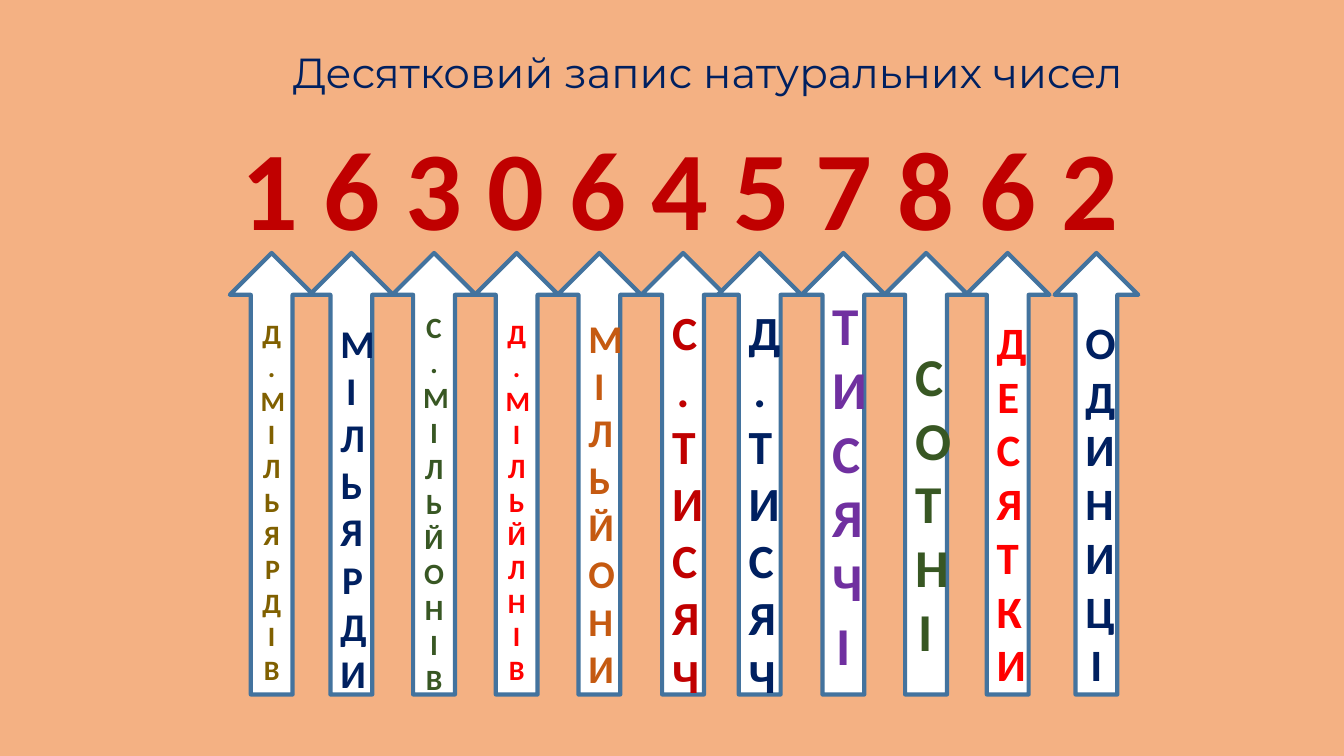
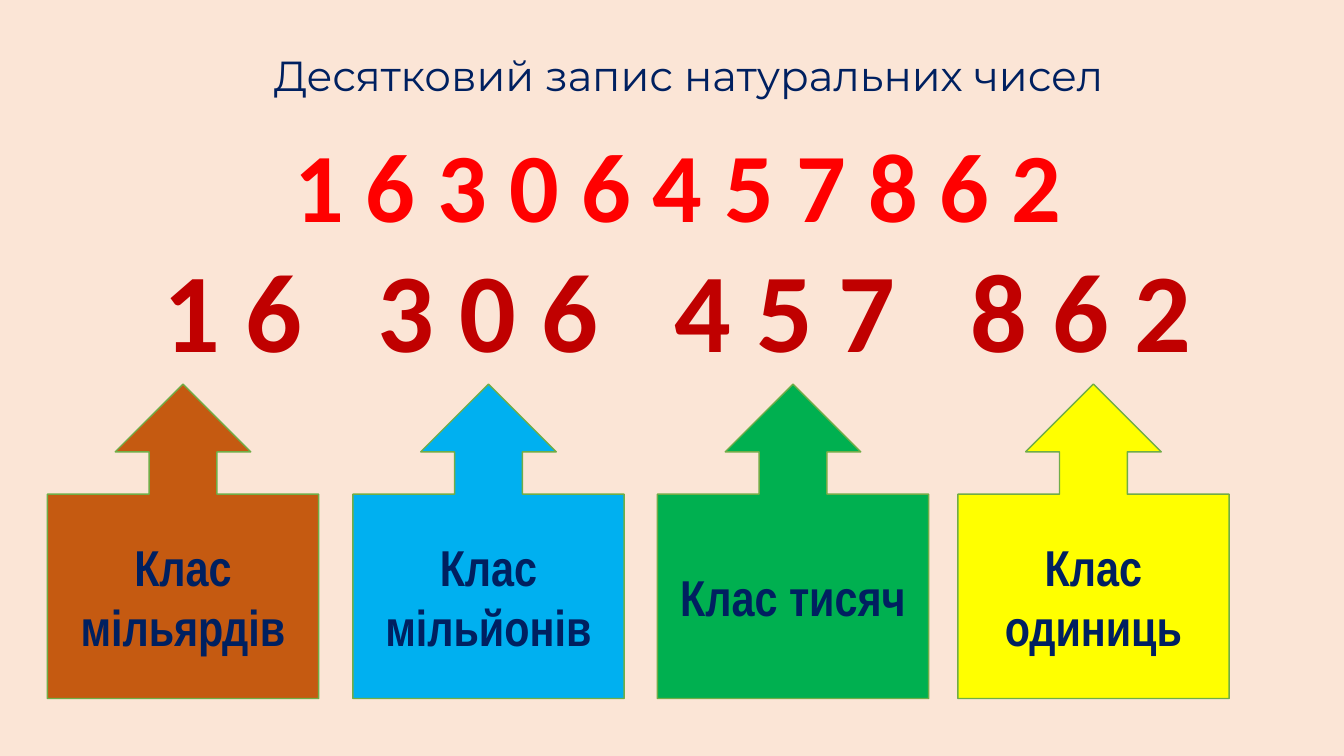
import pptx
import pptx.util
import pptx.dml.color
import pptx.enum.shapes
import pptx.enum.text

Inches = pptx.util.Inches
Pt = pptx.util.Pt
RGBColor = pptx.dml.color.RGBColor
Shape = pptx.enum.shapes.MSO_SHAPE
Align = pptx.enum.text.PP_ALIGN
Anchor = pptx.enum.text.MSO_ANCHOR

PEACH = RGBColor(0xF4, 0xB1, 0x83)
CREAM = RGBColor(0xFB, 0xE5, 0xD6)
NAVY = RGBColor(0x00, 0x20, 0x60)
MAROON = RGBColor(0xC0, 0x00, 0x00)
RED = RGBColor(0xFF, 0x00, 0x00)
WHITE = RGBColor(0xFF, 0xFF, 0xFF)
STEEL = RGBColor(0x43, 0x73, 0x9E)
OLIVE = RGBColor(0x80, 0x60, 0x00)
FOREST = RGBColor(0x38, 0x57, 0x23)
RUST = RGBColor(0xC5, 0x5A, 0x11)
PURPLE = RGBColor(0x70, 0x30, 0xA0)
SKY = RGBColor(0x00, 0xB0, 0xF0)
GREEN = RGBColor(0x00, 0xB0, 0x50)
YELLOW = RGBColor(0xFF, 0xFF, 0x00)
LEAF = RGBColor(0x70, 0xAD, 0x47)

TITLE = "Десятковий запис натуральних чисел"
NUMBER = "1 6 3 0 6 4 5 7 8 6 2"
GROUPS = ["1 6", "3 0 6", "4 5 7", "8 6 2"]

PLACES = [
    (2.28, "Д.МІЛЬЯРДІВ", 20, 20, OLIVE),
    (3.07, "МІЛЬЯРДИ", 28, 28, NAVY),
    (3.89, "С.МІЛЬЙОНІВ", 22, 21, FOREST),
    (4.71, "Д. МІЛЬЙЛНІВ", 20, 20, RED),
    (5.53, "МІЛЬЙОНИ", 22, 28, RUST),
    (6.36, "С. ТИСЯЧ", 22, 34, MAROON),
    (7.12, "Д. ТИСЯЧ", 22, 34, NAVY),
    (7.95, "ТИСЯЧІ", 0, 38, PURPLE),
    (8.77, "СОТНІ", 22, 38, FOREST),
    (9.58, "ДЕСЯТКИ", 22, 32, RED),
    (10.46, "ОДИНИЦІ", 22, 32, NAVY),
]

CLASSES = [
    (0.47, "Клас мільярдів", RUST),
    (3.5, "Клас мільйонів", SKY),
    (6.52, "Клас тисяч", GREEN),
    (9.5, "Клас одиниць", YELLOW),
]


def style(run, size, color, face="Calibri", bold=True):
    """Set the font of one run."""
    run.font.name = face
    run.font.size = Pt(size)
    run.font.bold = bold
    run.font.color.rgb = color


def label(slide, box, text, size, color, face="Calibri", bold=True,
          align=Align.CENTER, anchor=Anchor.TOP):
    """Add a line of text in a box."""
    frame = slide.shapes.add_textbox(*map(Inches, box)).text_frame
    frame.word_wrap = True
    frame.vertical_anchor = anchor
    frame.text = text
    para = frame.paragraphs[0]
    para.alignment = align
    para.line_spacing = 0.9
    style(para.runs[0], size, color, face, bold)


def panel(slide, kind, box, fill, edge, width):
    """Add a filled arrow shape and return its centred paragraph."""
    shape = slide.shapes.add_shape(kind, *map(Inches, box))
    shape.shadow.inherit = False
    shape.fill.solid()
    shape.fill.fore_color.rgb = fill
    shape.line.color.rgb = edge
    shape.line.width = Pt(width)
    shape.text_frame.word_wrap = True
    shape.text_frame.vertical_anchor = Anchor.MIDDLE
    para = shape.text_frame.paragraphs[0]
    para.alignment = Align.CENTER
    return para


def place(slide, left, word, lead, size, color):
    """Add a narrow arrow whose word wraps letter by letter."""
    box = (left, 2.51, 0.83, 4.38)
    para = panel(slide, Shape.UP_ARROW, box, WHITE, STEEL, 3)
    if lead:
        para.text = " "
        style(para.runs[0], lead, color)
    run = para.add_run()
    run.text = word
    style(run, size, color)


def group(slide, left, name, fill):
    """Add a callout that names a class of digits."""
    box = (left, 3.81, 2.69, 3.12)
    para = panel(slide, Shape.UP_ARROW_CALLOUT, box, fill, LEAF, 1)
    para.text = name
    style(para.runs[0], 36, NAVY, "Arial Narrow")


def page(deck, back, box):
    """Add a blank slide with its background and title."""
    slide = deck.slides.add_slide(deck.slide_layouts[6])
    slide.background.fill.solid()
    slide.background.fill.fore_color.rgb = back
    label(slide, box, TITLE, 30, NAVY, "Montserrat", False,
          anchor=Anchor.MIDDLE)
    return slide


def main():
    """Build and save both slides."""
    deck = pptx.Presentation()
    deck.slide_width = Inches(13.33)
    deck.slide_height = Inches(7.5)

    slide = page(deck, PEACH, (0.92, 0.4, 12.2, 0.69))
    label(slide, (0.92, 1.28, 11.66, 1.2), NUMBER, 80, MAROON)
    for item in PLACES:
        place(slide, *item)

    slide = page(deck, CREAM, (0.92, 0.4, 11.82, 0.74))
    label(slide, (0.92, 1.32, 11.61, 1.1), NUMBER, 70, RED)
    for i, digits in enumerate(GROUPS):
        label(slide, (0.3 + 2.94 * i, 2.49, 2.8, 1.2), digits, 80, MAROON,
              align=Align.RIGHT)
    for item in CLASSES:
        group(slide, *item)

    deck.save("out.pptx")


if __name__ == "__main__":
    main()
